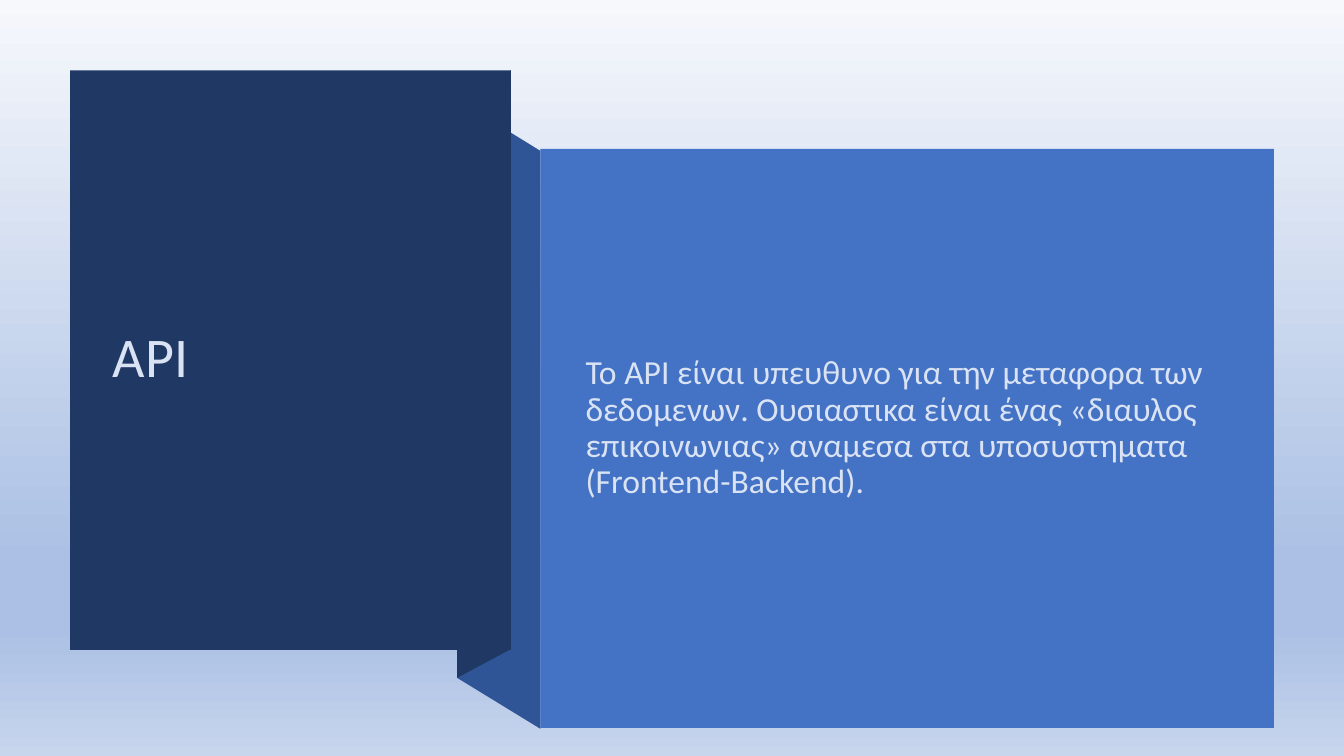
from copy import deepcopy

from pptx import Presentation
from pptx.dml.color import RGBColor
from pptx.enum.shapes import MSO_SHAPE
from pptx.enum.text import MSO_ANCHOR
from pptx.oxml.ns import qn
from pptx.util import Pt

RECTANGLE = MSO_SHAPE.RECTANGLE
MIDDLE = MSO_ANCHOR.MIDDLE
FONT = "Calibri"
COLORS = {
    "navy": "203864",
    "fold": "2F5597",
    "blue": "4472C4",
    "text": "DAE3F3",
    "sky_top": "F6F8FC",
    "sky_deep": "ABC0E4",
    "sky_bottom": "C7D5ED",
}
SKY = [(0, "sky_top"), (0.74, "sky_deep"), (0.83, "sky_deep"), (1, "sky_bottom")]
API_TEXT = (
    "To API είναι υπευθυνο για την μεταφορα των δεδομενων. "
    "Ουσιαστικα είναι ένας «διαυλος επικοινωνιας» αναμεσα στα "
    "υποσυστηματα (Frontend-Backend)."
)


def rgb(name):
    return RGBColor.from_string(COLORS[name])


def paint(shape, color):
    shape.shadow.inherit = False
    shape.fill.solid()
    shape.fill.fore_color.rgb = rgb(color)
    shape.line.fill.background()


def add_panel(slide, box, color):
    paint(slide.shapes.add_shape(RECTANGLE, *map(Pt, box)), color)


def add_outline(slide, points, color):
    start, *rest = [(Pt(x), Pt(y)) for x, y in points]
    builder = slide.shapes.build_freeform(*start, scale=1.0)
    builder.add_line_segments(rest, close=True)
    paint(builder.convert_to_shape(), color)


def add_text(slide, box, words, size, space_before=0):
    frame = slide.shapes.add_textbox(*map(Pt, box)).text_frame
    frame.word_wrap = True
    frame.vertical_anchor = MIDDLE
    frame.text = words
    paragraph = frame.paragraphs[0]
    paragraph.line_spacing = 0.9
    paragraph.space_before = Pt(space_before)
    font = paragraph.runs[0].font
    font.name, font.size = FONT, Pt(size)
    font.color.rgb = rgb("text")


def add_sky(slide):
    fill = slide.background.fill
    fill.gradient()
    fill.gradient_angle = 270
    stop_list = slide.element.find(".//" + qn("a:gsLst"))
    while len(stop_list) < len(SKY):
        stop_list.append(deepcopy(stop_list[0]))
    for stop, (position, color) in zip(fill.gradient_stops, SKY):
        stop.position = position
        stop.color.rgb = rgb(color)


def add_ribbon(slide, title_box, body_box):
    """Folded strip that joins the title panel to the body panel."""
    left, top, width, height = title_box
    body_left, body_top, _, body_height = body_box
    title_right, title_bottom = left + width, top + height
    body_bottom = body_top + body_height
    fold_left = title_right - 38.5
    fold_top, fold_bottom = top + 20.5, title_bottom + 20
    add_outline(slide, [(body_left, body_bottom + 0.6), (fold_left, fold_bottom),
                        (fold_left, fold_top + 0.4), (body_left, body_top + 1.4)], "fold")
    add_outline(slide, [(title_right, title_bottom - 0.6), (fold_left, fold_bottom),
                        (fold_left, fold_top), (title_right, top)], "navy")


def add_title_panel(slide, box):
    left, top, width, height = box
    add_panel(slide, box, "navy")
    add_text(slide, (left + 23.6, top + 27, width - 48, height - 55), "API", 40)


def add_body_panel(slide, box):
    left, top, width, height = box
    add_panel(slide, box, "blue")
    add_text(slide, (left + 25.2, top + 28.8, width - 55.4, height - 72), API_TEXT, 24, 10)


def main():
    deck = Presentation()
    deck.slide_width, deck.slide_height = Pt(960), Pt(540)
    slide = deck.slides.add_slide(deck.slide_layouts[6])
    title_box = (50, 50.2, 315, 414)
    body_box = (386, 106.4, 524, 413.6)

    add_sky(slide)
    add_ribbon(slide, title_box, body_box)
    add_title_panel(slide, title_box)
    add_body_panel(slide, body_box)
    deck.save("out.pptx")


if __name__ == "__main__":
    main()
